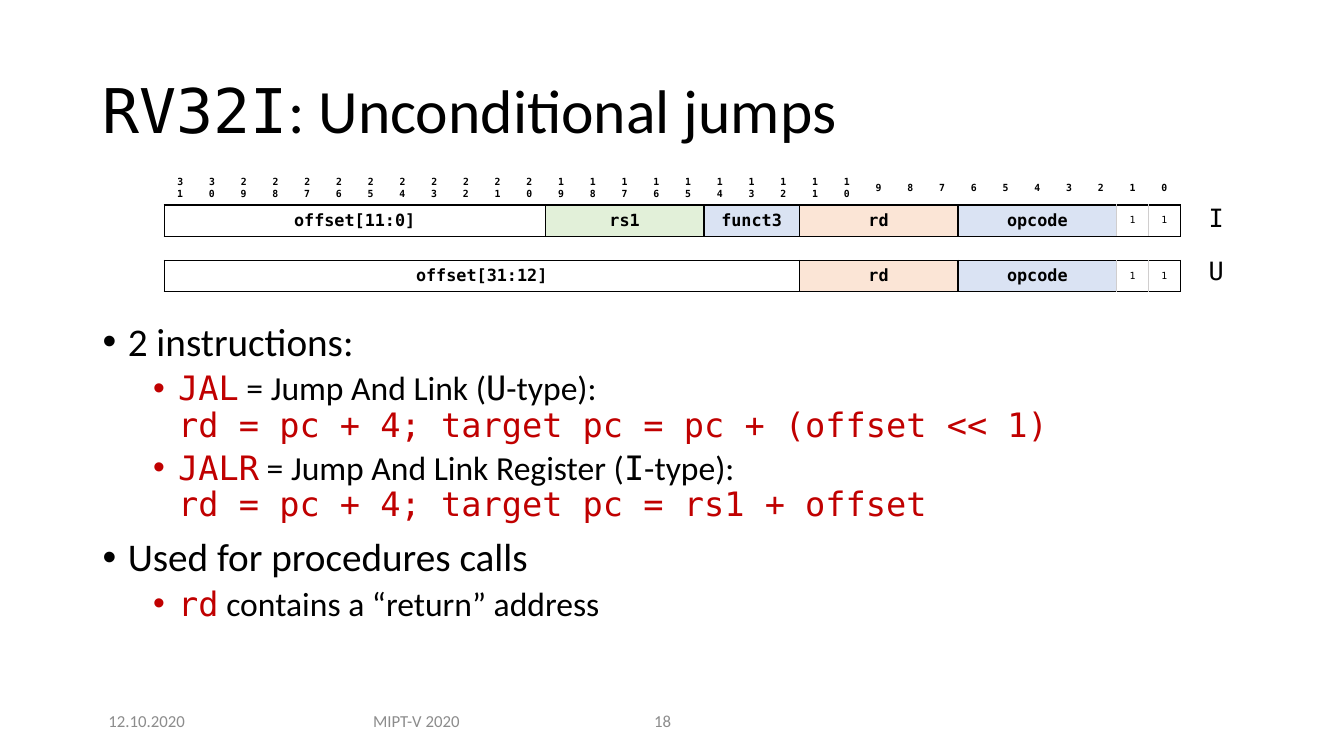
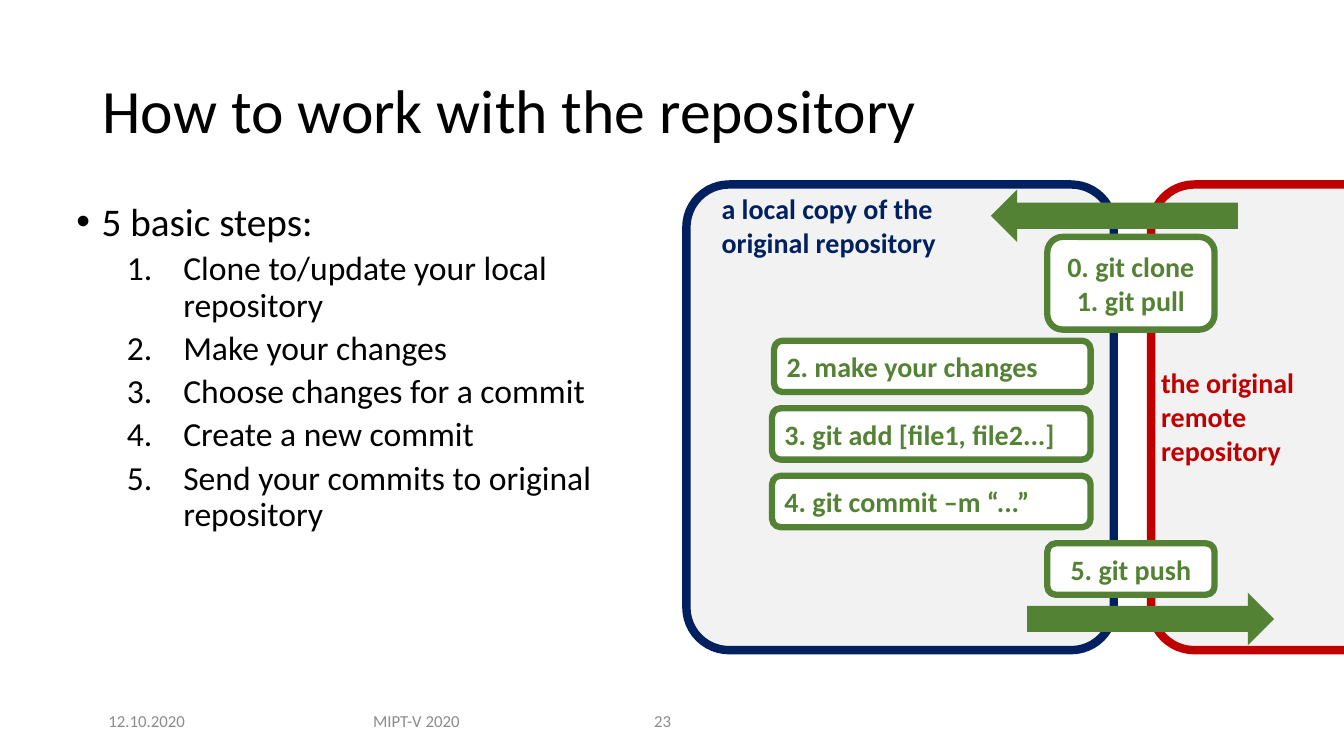
from dataclasses import dataclass

from lxml.etree import SubElement
from pptx import Presentation
from pptx.dml.color import RGBColor
from pptx.enum.shapes import MSO_SHAPE
from pptx.enum.text import MSO_ANCHOR, PP_ALIGN
from pptx.oxml.ns import qn
from pptx.util import Inches, Pt


@dataclass(frozen=True)
class Theme:
    sans: str = "Calibri"
    mono: str = "DejaVu Sans Mono"
    black: str = "000000"
    white: str = "FFFFFF"
    red: str = "C00000"
    navy: str = "002060"
    green: str = "548235"
    panel: str = "F2F2F2"
    footer: str = "8C8C8C"
    hairline: str = "D0CECE"
    source_field: str = "E2F0D9"
    code_field: str = "DAE3F3"
    target_field: str = "FBE5D6"
    title_size: int = 44
    point_size: int = 28
    sub_size: int = 24
    label_size: int = 20
    type_size: int = 18
    small_size: int = 12
    bit_size: int = 7


THEME = Theme()

# Run styles: font and colour (None keeps the colour of the text around it)
RUN_STYLES = {
    "plain": (THEME.sans, None),
    "code": (THEME.mono, None),
    "key": (THEME.mono, THEME.red),
}

# List levels: size, left margin, hanging indent, space before, marker
LEVELS = {
    "point": (THEME.point_size, 0.25, 0.25, 10, "•"),
    "sub": (THEME.sub_size, 0.75, 0.25, 5, "•"),
    "step": (THEME.sub_size, 1.06, 0.56, 5, "1."),
}

# Shared footer: left, width, alignment
FOOTER_DATE = "12.10.2020"
FOOTER_COURSE = "MIPT-V 2020"
FOOTER_SLOTS = [
    (0.92, 1.07, PP_ALIGN.CENTER),
    (3.34, 1.58, PP_ALIGN.CENTER),
    (6.39, 0.79, PP_ALIGN.LEFT),
]
CORNER_BAND = (8.19, 6.57, 5.15, 0.93)

# Content: unconditional jumps
JUMPS_TITLE = [("RV32I", "code"), (": Unconditional jumps", "plain")]
JUMPS_BODY = [
    ("point", "2 instructions:"),
    ("sub", [("JAL", "key"), (" = Jump And Link (", "plain"), ("U", "code"),
             ("-type):\n", "plain"),
             ("rd = pc + 4; target pc = pc + (offset << 1)", "key")]),
    ("sub", [("JALR", "key"), (" = Jump And Link Register (", "plain"),
             ("I", "code"), ("-type):\n", "plain"),
             ("rd = pc + 4; target pc = rs1 + offset", "key")]),
    ("point", "Used for procedures calls"),
    ("sub", [("rd", "key"), (" contains a “return” address", "plain")]),
]
BIT_COUNT = 32
ROW_HEIGHTS = [0.31, 0.31, 0.24, 0.31]
GAP_ROW = 2
# Fields: text, bits, fill
COMMON_FIELDS = [
    ("rd", 5, THEME.target_field),
    ("opcode", 5, THEME.code_field),
    ("1", 1, None),
    ("1", 1, None),
]
FORMATS = {
    1: [("offset[11:0]", 12, None), ("rs1", 5, THEME.source_field),
        ("funct3", 3, THEME.code_field)] + COMMON_FIELDS,
    3: [("offset[31:12]", 20, None)] + COMMON_FIELDS,
}
FORMAT_NAMES = ["I", "U"]

# Content: repository workflow
REPO_TITLE = "How to work with the repository"
REPO_BODY = [
    ("point", "5 basic steps:"),
    ("step", "Clone to/update your local repository"),
    ("step", "Make your changes"),
    ("step", "Choose changes for a commit"),
    ("step", "Create a new commit"),
    ("step", "Send your commits to original repository"),
]
# Panels: box, corner, colour, caption, caption box
REPOSITORIES = [
    ((11.42, 1.83, 2.53, 4.62), 0.17, THEME.red,
     "the original remote repository", (11.42, 3.58, 1.6, 1.11)),
    ((6.81, 1.83, 4.24, 4.62), 0.1, THEME.navy,
     "a local copy of the original repository", (7.06, 1.85, 2.42, 0.77)),
]
# Local commands: left, text
LOCAL_COMMANDS = [
    (7.68, "2. make your changes"),
    (7.66, "3. git add [file1, file2...]"),
    (7.66, "4. git commit –m “...”"),
]
PUSH_COMMAND = ["5. git push"]
PULL_COMMANDS = ["0. git clone", "1. git pull"]
COMMAND_TOP, COMMAND_PITCH, COMMAND_HEIGHT = 3.38, 0.67, 0.51
TRANSFERS = [
    (MSO_SHAPE.RIGHT_ARROW, 10.19, 5.88),
    (MSO_SHAPE.LEFT_ARROW, 9.83, 1.88),
]


def rgb(value):
    return RGBColor.from_string(value)


def set_list_level(paragraph, level, is_first):
    size, margin, hanging, before, marker = LEVELS[level]
    props = paragraph._p.get_or_add_pPr()
    props.set("marL", str(Inches(margin)))
    props.set("indent", str(-Inches(hanging)))
    if marker == "1.":
        SubElement(props, qn("a:buFont"), typeface="+mj-lt")
        SubElement(props, qn("a:buAutoNum"), type="arabicPeriod")
    else:
        SubElement(props, qn("a:buFont"), typeface="Arial")
        SubElement(props, qn("a:buChar"), char=marker)
    if not is_first:
        paragraph.space_before = Pt(before)
    return size


def write(frame, paragraphs, size=THEME.label_size, color=THEME.black,
          bold=False, align=PP_ALIGN.LEFT, spacing=None):
    """Each paragraph is a string, a list of runs, or (level, either)."""
    for index, content in enumerate(paragraphs):
        paragraph = frame.add_paragraph() if index else frame.paragraphs[0]
        paragraph.alignment = align
        run_size = size
        if isinstance(content, tuple):
            level, content = content
            run_size = set_list_level(paragraph, level, index == 0)
        if spacing:
            paragraph.line_spacing = spacing
        runs = [(content, "plain")] if isinstance(content, str) else content
        for text, style in runs:
            font_name, run_color = RUN_STYLES[style]
            run = paragraph.add_run()
            run.text = text.rstrip("\n")
            run.font.name = font_name
            run.font.size = Pt(run_size)
            run.font.bold = bold
            run.font.color.rgb = rgb(run_color or color)
            if text.endswith("\n"):
                paragraph.add_line_break()


def add_text(slide, box, paragraphs, anchor=MSO_ANCHOR.TOP, **text_format):
    frame = slide.shapes.add_textbox(*map(Inches, box)).text_frame
    frame.word_wrap = True
    frame.vertical_anchor = anchor
    write(frame, paragraphs, **text_format)


def add_block(slide, kind, box, fill, line=None, line_width=0, corner=None):
    block = slide.shapes.add_shape(kind, *map(Inches, box))
    block.shadow.inherit = False
    block.fill.solid()
    block.fill.fore_color.rgb = rgb(fill)
    if line:
        block.line.color.rgb = rgb(line)
        block.line.width = Pt(line_width)
    else:
        block.line.fill.background()
    if corner:
        block.adjustments[0] = corner
    return block


def add_command(slide, box, lines, align):
    command = add_block(slide, MSO_SHAPE.ROUNDED_RECTANGLE, box, THEME.white,
                        line=THEME.green, line_width=4.5)
    command.text_frame.word_wrap = True
    command.text_frame.vertical_anchor = MSO_ANCHOR.MIDDLE
    write(command.text_frame, lines, color=THEME.green, bold=True, align=align)


def start_slide(deck, title, number):
    slide = deck.slides.add_slide(deck.slide_layouts[6])
    band = add_block(slide, MSO_SHAPE.RECTANGLE, CORNER_BAND, THEME.white)
    band_color = band._element.spPr.find(qn("a:solidFill"))[0]
    SubElement(band_color, qn("a:alpha"), val="83000")
    add_text(slide, (0.92, 0.4, 11.5, 1.45), [title], MSO_ANCHOR.MIDDLE,
             size=THEME.title_size, spacing=0.9)
    footers = (FOOTER_DATE, FOOTER_COURSE, str(number))
    for text, (left, width, align) in zip(footers, FOOTER_SLOTS):
        add_text(slide, (left, 6.95, width, 0.4), [text], MSO_ANCHOR.MIDDLE,
                 size=THEME.small_size, color=THEME.footer, align=align)
    return slide


def format_cell(cell, fill=None, **borders):
    """Borders are given by side: L, R, T or B."""
    cell.vertical_anchor = MSO_ANCHOR.MIDDLE
    props = cell._tc.get_or_add_tcPr()
    for side in "LRTB":
        if side in borders:
            edge = SubElement(props, qn(f"a:ln{side}"), w=str(Pt(1)))
            paint = SubElement(edge, qn("a:solidFill"))
            SubElement(paint, qn("a:srgbClr"), val=borders[side])
    if fill:
        cell.fill.solid()
        cell.fill.fore_color.rgb = rgb(fill)
    else:
        cell.fill.background()


def add_encoding_table(slide):
    frame = slide.shapes.add_table(len(ROW_HEIGHTS), BIT_COUNT, Inches(1.63),
                                   Inches(1.7), Inches(10.08), Inches(1.17))
    table = frame.table
    table.first_row = table.horz_banding = False
    # Plain style without grid lines
    style = table._tbl.tblPr.find(qn("a:tableStyleId"))
    style.text = "{2D5ABB26-0587-4C30-8999-92F81FD0307C}"
    for row, height in zip(table.rows, ROW_HEIGHTS):
        row.height = Inches(height)
    for column in table.columns:
        column.width = Inches(10.08 / BIT_COUNT)

    # Bit numbers and the gap between the formats
    for column in range(BIT_COUNT):
        bit = table.cell(0, column)
        format_cell(bit, B=THEME.black)
        write(bit.text_frame, [[(str(BIT_COUNT - 1 - column), "code")]],
              size=THEME.bit_size, bold=True, align=PP_ALIGN.CENTER)
        format_cell(table.cell(GAP_ROW, column), T=THEME.black, B=THEME.black)

    # Instruction fields
    for row, fields in FORMATS.items():
        start = 0
        for text, bits, fill in fields:
            field, end = table.cell(row, start), start + bits
            if bits > 1:
                field.merge(table.cell(row, end - 1))
            left = THEME.hairline if bits == 1 else THEME.black
            right = (THEME.hairline if BIT_COUNT - 2 <= end < BIT_COUNT
                     else THEME.black)
            format_cell(field, fill, L=left, R=right,
                        T=THEME.black, B=THEME.black)
            write(field.text_frame, [[(text, "code")]], bold=bits > 1,
                  size=THEME.small_size if bits > 1 else THEME.bit_size,
                  align=PP_ALIGN.CENTER)
            start = end

    # Empty cells get small type so that rows keep their height
    for cell in table.iter_cells():
        if not cell.text_frame.text:
            SubElement(cell.text_frame.paragraphs[0]._p, qn("a:endParaRPr"),
                       sz=str(THEME.bit_size * 100))


def build_jumps(deck):
    slide = start_slide(deck, JUMPS_TITLE, 18)
    add_text(slide, (0.92, 3.15, 11.5, 3.36), JUMPS_BODY, spacing=0.9)
    add_encoding_table(slide)
    for index, name in enumerate(FORMAT_NAMES):
        add_text(slide, (11.82, 1.96 + 0.52 * index, 0.49, 0.4),
                 [[(name, "code")]], size=THEME.type_size,
                 align=PP_ALIGN.CENTER)


def build_repository(deck):
    slide = start_slide(deck, REPO_TITLE, 23)
    add_text(slide, (0.66, 1.96, 5.71, 4.52), REPO_BODY, spacing=0.9)
    for box, corner, color, caption, caption_box in REPOSITORIES:
        add_block(slide, MSO_SHAPE.ROUNDED_RECTANGLE, box, THEME.panel,
                  line=color, line_width=6, corner=corner)
        add_text(slide, caption_box, [caption], color=color, bold=True)
    for index, (left, command) in enumerate(LOCAL_COMMANDS):
        top = COMMAND_TOP + COMMAND_PITCH * index
        add_command(slide, (left, top, 10.82 - left, COMMAND_HEIGHT),
                    [command], PP_ALIGN.LEFT)
    push_top = COMMAND_TOP + COMMAND_PITCH * len(LOCAL_COMMANDS)
    for lines, top, height in ((PUSH_COMMAND, push_top, COMMAND_HEIGHT),
                               (PULL_COMMANDS, 2.35, 0.92)):
        add_command(slide, (10.39, top, 1.66, height), lines, PP_ALIGN.CENTER)
    for kind, left, top in TRANSFERS:
        add_block(slide, kind, (left, top, 2.45, 0.52), THEME.green)


def main():
    deck = Presentation()
    deck.slide_width, deck.slide_height = Inches(40 / 3), Inches(7.5)
    build_jumps(deck)
    build_repository(deck)
    deck.save("out.pptx")


if __name__ == "__main__":
    main()
